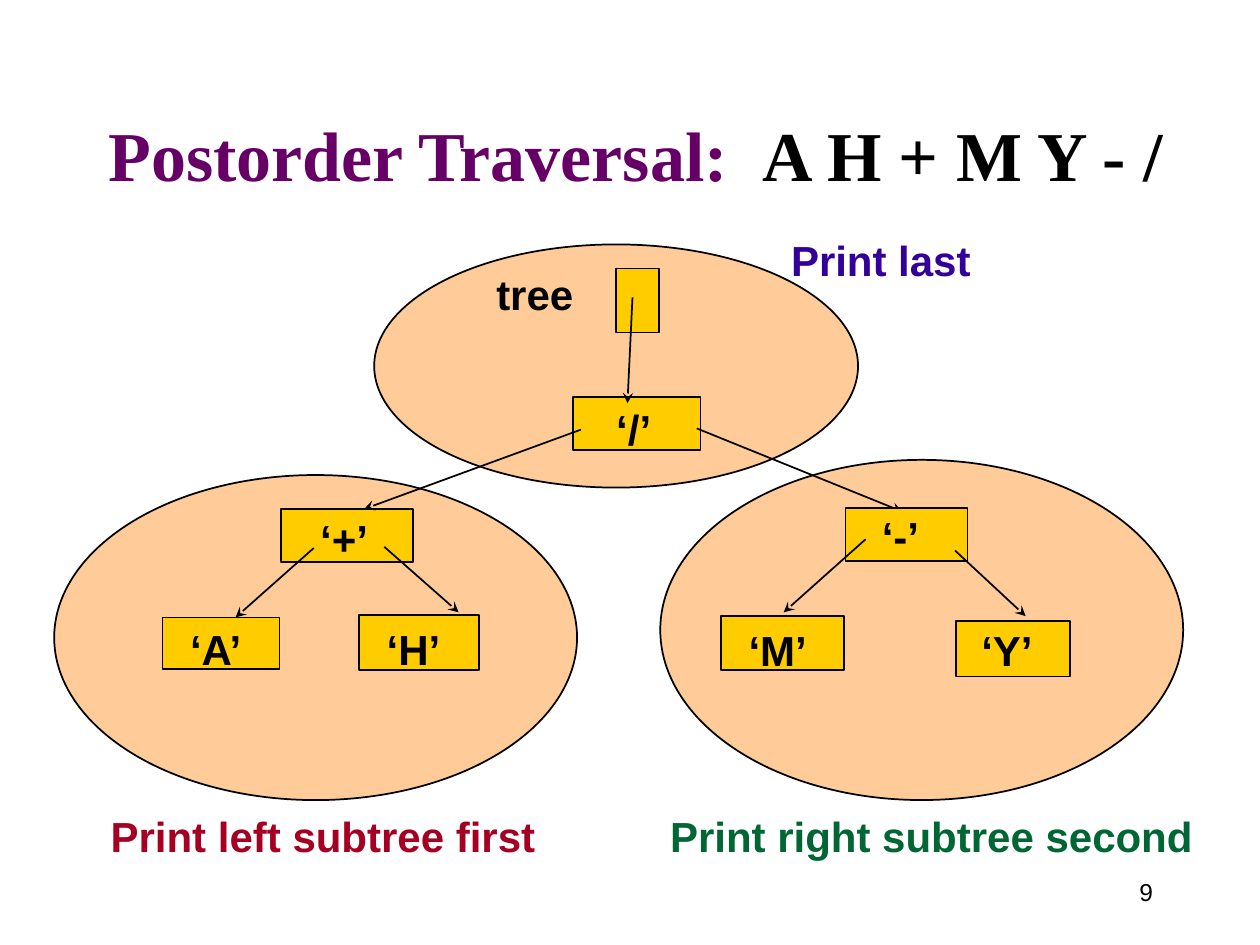
from dataclasses import dataclass

from lxml.etree import SubElement
from pptx import Presentation
from pptx.dml.color import RGBColor
from pptx.enum.shapes import MSO_CONNECTOR as Conn, MSO_SHAPE as Shape
from pptx.enum.text import MSO_ANCHOR as Anchor, PP_ALIGN as Align
from pptx.oxml.ns import qn
from pptx.util import Inches, Pt


@dataclass(frozen=True)
class Theme:
    ink: str = "000000"
    oval: str = "FFCC99"
    node: str = "FFCC00"
    title: str = "660066"
    left: str = "A50021"
    right: str = "006633"
    last: str = "330099"
    sans: str = "Arial"
    serif: str = "Times New Roman"
    head: int = 40
    body: int = 24
    small: int = 14


THEME = Theme()
WIDE, HIGH = Inches(10), Inches(7.5)
COLS, ROWS = 100, 75


def grid(*vals):
    """Turn alternating columns and rows into slide lengths."""
    units = WIDE / COLS, HIGH / ROWS
    return [round(val * units[i % 2]) for i, val in enumerate(vals)]


def style(run, size, color, face=THEME.sans, bold=True):
    font = run.font
    font.name, font.size, font.bold = face, Pt(size), bold
    font.color.rgb = RGBColor.from_string(color)


def add_form(slide, kind, place, color):
    form = slide.shapes.add_shape(kind, *grid(*place))
    form.shadow.inherit = False
    form.fill.solid()
    form.fill.fore_color.rgb = RGBColor.from_string(color)
    form.line.color.rgb = RGBColor.from_string(THEME.ink)
    form.line.width = Pt(1)


def add_text(slide, place, text, color=THEME.ink, size=THEME.body,
             bold=True, align=Align.LEFT, anchor=Anchor.TOP):
    frame = slide.shapes.add_textbox(*grid(*place)).text_frame
    frame.word_wrap = True
    frame.vertical_anchor = anchor
    frame.text = text
    par = frame.paragraphs[0]
    par.alignment = align
    style(par.runs[0], size, color, bold=bold)


def add_arrow(slide, ends):
    line = slide.shapes.add_connector(Conn.STRAIGHT, *grid(*ends))
    line.line.color.rgb = RGBColor.from_string(THEME.ink)
    line.line.width = Pt(1)
    SubElement(line.line._get_or_add_ln(), qn("a:tailEnd"), type="stealth")
    SubElement(line._element.spPr, qn("a:effectLst"))


def add_title(slide):
    frame = slide.shapes.add_textbox(*grid(3.9, 3.5, 93.1, 12.5)).text_frame
    frame.word_wrap = True
    frame.vertical_anchor = Anchor.BOTTOM
    par = frame.paragraphs[0]
    par.alignment = Align.CENTER
    for text, color in (("Postorder Traversal:  ", THEME.title),
                        ("A H + M Y - /", THEME.ink)):
        run = par.add_run()
        run.text = text
        style(run, THEME.head, color, THEME.serif)


def add_tree(slide, nodes, links):
    """Draw the boxes, then the arrows, then the labels on top."""
    for box, _, _ in nodes:
        add_form(slide, Shape.RECTANGLE, box, THEME.node)
    for ends in links:
        add_arrow(slide, ends)
    for _, spot, text in nodes:
        add_text(slide, (*spot, 8.2, 5), text)


OVALS = [(52.4, 36.5, 41.5, 27), (29.7, 19.4, 38.4, 19.3),
         (4.3, 37.7, 41.5, 25.8)]

# Each node: box, label corner, label
LEFT = [((22.3, 40.4, 10.5, 4.2), (23.5, 40.3), " ‘+’"),
        ((12.9, 49, 9.3, 4.1), (14.1, 49), "‘A’"),
        ((28.5, 48.8, 9.5, 4.4), (29.7, 49), "‘H’"),
        ((45.5, 31.5, 10.1, 4.2), (47, 31.5), " ‘/’")]
RIGHT = [((67.1, 40.3, 9.7, 4.2), (69, 40), "‘-’"),
         ((57.2, 48.9, 9.8, 4.3), (57.5, 49.1), " ‘M’"),
         ((75.9, 49.3, 9, 4.4), (76.9, 49.1), "‘Y’"),
         ((48.9, 21.3, 3.4, 5.1), (38.4, 20.8), "tree")]

# Each link: parent point, child point
LEFT_LINKS = [(55.3, 34, 71.6, 40.6), (30.5, 43.4, 36.4, 48.6),
              (24.9, 43.5, 18.7, 49), (46.1, 34.1, 28.9, 40.4)]
RIGHT_LINKS = [(75.8, 43.7, 81.4, 48.9), (68.7, 42.8, 62.2, 48.6),
               (50.2, 23.6, 49.8, 32)]

NOTES = [((7.8, 63.8, 38, 5), "Print left subtree first", THEME.left),
         ((52.2, 63.8, 46, 5), "Print right subtree second", THEME.right),
         ((61.8, 18.1, 19, 5), "Print last", THEME.last)]


def main():
    deck = Presentation()
    deck.slide_width, deck.slide_height = WIDE, HIGH
    slide = deck.slides.add_slide(deck.slide_layouts[6])
    add_text(slide, (85.8, 68.3, 6.7, 5), "9", size=THEME.small, bold=False,
             align=Align.RIGHT, anchor=Anchor.MIDDLE)
    for place in OVALS:
        add_form(slide, Shape.OVAL, place, THEME.oval)
    add_tree(slide, LEFT, LEFT_LINKS)
    add_tree(slide, RIGHT, RIGHT_LINKS)
    for place, text, color in NOTES:
        add_text(slide, place, text, color)
    add_title(slide)
    deck.save("out.pptx")


if __name__ == "__main__":
    main()
